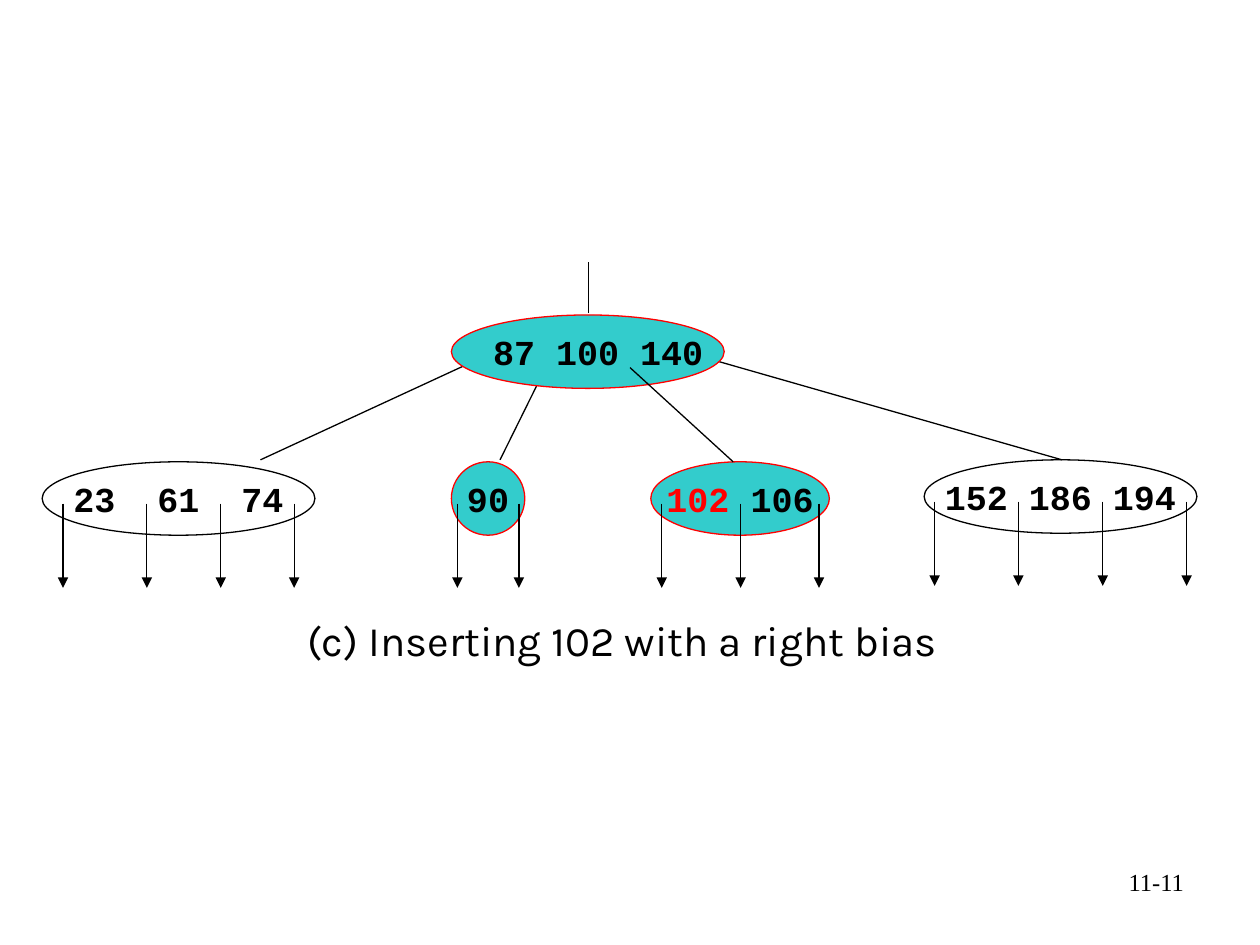
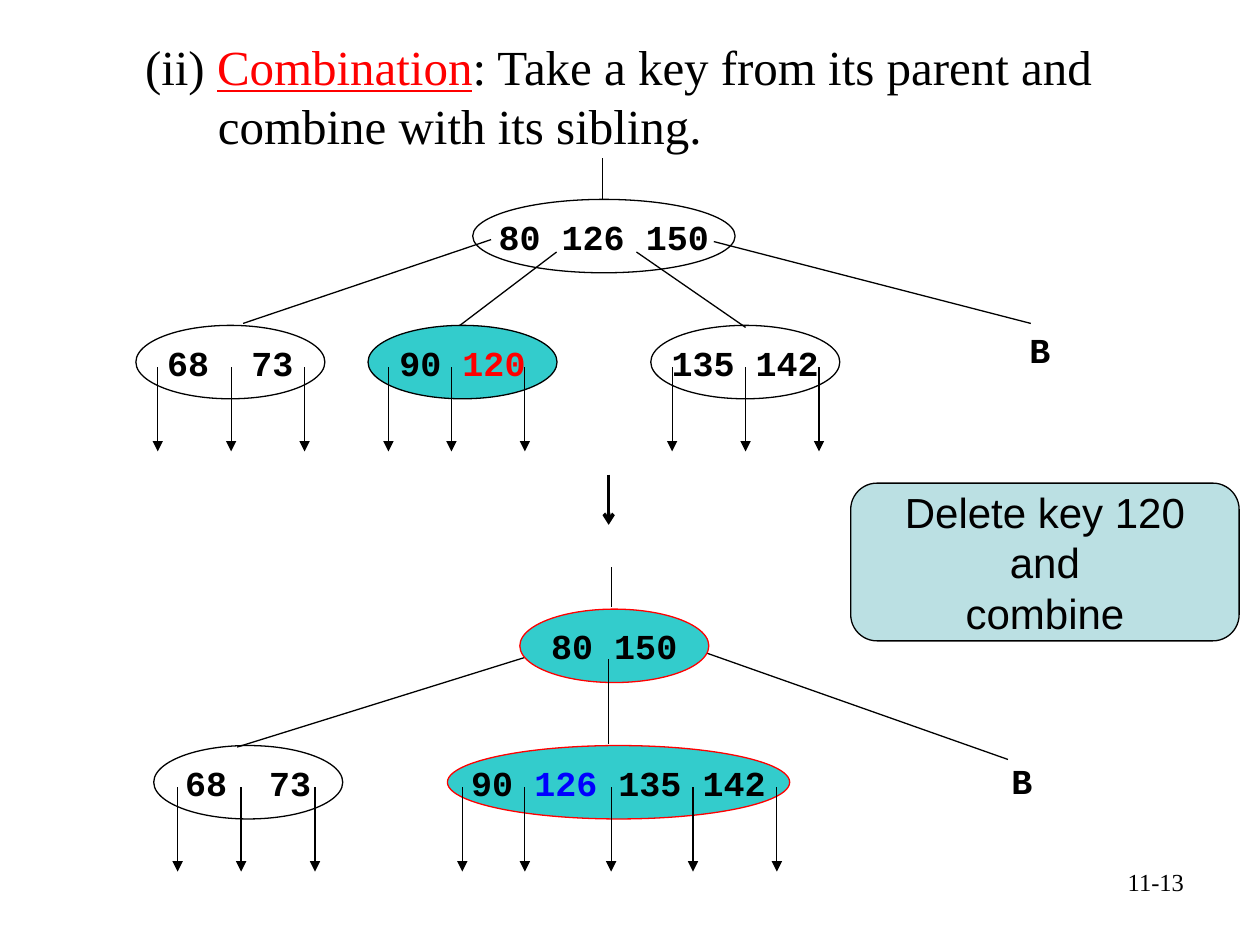
from pptx import Presentation
from pptx.dml.color import RGBColor
from pptx.enum.shapes import MSO_CONNECTOR, MSO_SHAPE
from pptx.enum.text import MSO_ANCHOR, PP_ALIGN
from pptx.oxml.ns import qn
from pptx.util import Cm, Pt
from lxml.etree import SubElement

rgb = RGBColor.from_string
BLACK, RED, BLUE, TEAL, PALE = "000000", "FF0000", "0000FF", "33CCCC", "BBE0E3"
MONO, SERIF = "Courier New", "Times New Roman"
NODE_H, POINTER_DROP, POINTER_LEN = 1.48, 0.84, 1.7


def write(sp, paragraphs, size, font, bold=False, align=PP_ALIGN.LEFT, wrap=False):
    tf = sp.text_frame
    tf.word_wrap = wrap
    for i, runs in enumerate(paragraphs):
        p = tf.add_paragraph() if i else tf.paragraphs[0]
        p.alignment = align
        for text, color in runs:
            r = p.add_run()
            r.text = text
            r.font.size = Pt(size)
            r.font.name = font
            r.font.bold = bold
            r.font.color.rgb = rgb(color)
    return tf


def line(s, x1, y1, x2, y2, tail=None, width=0.75):
    c = s.shapes.add_connector(MSO_CONNECTOR.STRAIGHT, Cm(x1), Cm(y1), Cm(x2), Cm(y2))
    c.line.color.rgb = rgb(BLACK)
    c.line.width = Pt(width)
    if tail:
        SubElement(c.line._get_or_add_ln(), qn("a:tailEnd"), type=tail)
    SubElement(c._element.spPr, qn("a:effectLst"))


insert_tree = {
    "number": "11-11",
    "layout": 6,
    "back_links": [
        (11.86, 6.31, 11.86, 5.28),
        (10.08, 9.27, 11, 7.41),
        (9.73, 7.2, 5.25, 9.27),
        (14.18, 7.2, 21.41, 9.27),
    ],
    "nodes": [
        (9.1, 6.35, 5.5, TEAL, RED, [(" 87 100 140", BLACK)], []),
        (0.85, 9.31, 5.5, None, BLACK, [("23  61  74", BLACK)], [1.27, 2.96, 4.45, 5.93]),
        (9.1, 9.31, NODE_H, TEAL, RED, [("90", BLACK)], [9.22, 10.46]),
        (13.12, 9.31, 3.6, TEAL, RED, [("102", RED), (" 106", BLACK)], [13.34, 14.93, 16.51]),
        (18.63, 9.27, 5.5, None, BLACK, [("152 186 194", BLACK)], [18.84, 20.53, 22.23, 23.92]),
    ],
    "front_links": [(12.7, 7.41, 14.78, 9.31)],
    "labels": [(5.94, 12.27, 13.54, 1.27, "(c) Inserting 102 with a right bias", 24, "Karla", False)],
}
combine_trees = {
    "number": "11-13",
    "layout": 1,
    "back_links": [
        (12.15, 4.01, 12.15, 3.18),
        (9.9, 4.83, 4.9, 6.52),
        (11.22, 5.08, 9.27, 6.56),
        (12.83, 5.08, 15.03, 6.6),
        (14.39, 4.87, 20.78, 6.52),
        (12.32, 12.24, 12.32, 11.43),
        (10.88, 13.16, 4.78, 15.06),
        (13.89, 13.04, 20.32, 15.31),
    ],
    "nodes": [
        (9.53, 4.02, 5.29, None, BLACK, [("80 126 150", BLACK)], []),
        (2.74, 6.56, 3.81, None, BLACK, [("68  73", BLACK)], [3.18, 4.66, 6.14]),
        (7.42, 6.56, 3.81, TEAL, BLACK, [("90 ", BLACK), ("120", RED)], [7.83, 9.1, 10.58]),
        (13.12, 6.56, 3.81, None, BLACK, [("135 142", BLACK)], [13.55, 15.03, 16.51]),
        (10.48, 12.28, 3.81, TEAL, RED, [("80 150", BLACK)], []),
        (3.1, 15.03, 3.81, None, BLACK, [("68  73", BLACK)], [3.58, 4.86, 6.35]),
        (9.02, 15.03, 6.9, TEAL, RED, [("90 ", BLACK), ("126", BLUE), (" 135 142", BLACK)],
         [9.32, 10.58, 12.32, 13.97, 15.66]),
    ],
    "front_links": [(12.27, 14.99, 12.27, 13.28), (12.27, 9.57, 12.27, 10.58, "arrow", 2)],
    "labels": [
        (20.5, 6.5, 0.91, 1.12, "B", 20, MONO, True),
        (20.14, 15.19, 0.91, 1.12, "B", 20, MONO, True),
    ],
}

prs = Presentation()
prs.slide_width, prs.slide_height = Cm(25.4), Cm(19.05)

for tree in (insert_tree, combine_trees):
    s = prs.slides.add_slide(prs.slide_layouts[tree["layout"]])
    for link in tree["back_links"]:
        line(s, *link)
    for x, y, w, fill, border, keys, pointers in tree["nodes"]:
        sp = s.shapes.add_shape(MSO_SHAPE.OVAL, Cm(x), Cm(y), Cm(w), Cm(NODE_H))
        sp.shadow.inherit = False
        if fill:
            sp.fill.solid()
            sp.fill.fore_color.rgb = rgb(fill)
        else:
            sp.fill.background()
        sp.line.color.rgb = rgb(border)
        sp.line.width = Pt(0.75)
        tf = write(sp, [keys], 20, MONO, True, PP_ALIGN.CENTER)
        tf.vertical_anchor = MSO_ANCHOR.MIDDLE
        top = y + POINTER_DROP
        for px in pointers:
            line(s, px, top, px, top + POINTER_LEN, "triangle")
    for link in tree["front_links"]:
        line(s, *link)
    for x, y, w, h, text, size, font, bold in tree["labels"]:
        sp = s.shapes.add_textbox(Cm(x), Cm(y), Cm(w), Cm(h))
        write(sp, [[(text, BLACK)]], size, font, bold)
    sp = s.shapes.add_textbox(Cm(18.2), Cm(17.36), Cm(5.92), Cm(1.31))
    write(sp, [[(tree["number"], BLACK)]], 14, SERIF, align=PP_ALIGN.RIGHT, wrap=True)

title = s.shapes.title._element
title.getparent().remove(title)
body = s.placeholders[1]
body.left, body.top, body.width, body.height = Cm(1.4), Cm(0.61), Cm(22.86), Cm(16.18)
tf = write(body, [[
    ("(ii) ", BLACK),
    ("Combination", RED),
    (": Take a key from its parent and combine with its sibling.", BLACK),
]], 28, SERIF, wrap=True)
p = tf.paragraphs[0]
p.runs[1].font.underline = True
p.space_before = Pt(7)
pPr = p._p.get_or_add_pPr()
pPr.set("marL", str(Cm(2.74)))
pPr.set("indent", str(Cm(-1.47)))
SubElement(pPr, qn("a:buNone"))

sp = s.shapes.add_shape(MSO_SHAPE.FLOWCHART_ALTERNATE_PROCESS,
                        Cm(17.15), Cm(9.74), Cm(7.83), Cm(3.18))
sp.shadow.inherit = False
sp.fill.solid()
sp.fill.fore_color.rgb = rgb(PALE)
sp.line.color.rgb = rgb(BLACK)
sp.line.width = Pt(0.75)
tf = write(sp, [[(text, BLACK)] for text in ("Delete key 120", "and", "combine")],
           24, "Arial", align=PP_ALIGN.CENTER)
tf.vertical_anchor = MSO_ANCHOR.MIDDLE

prs.save("out.pptx")
